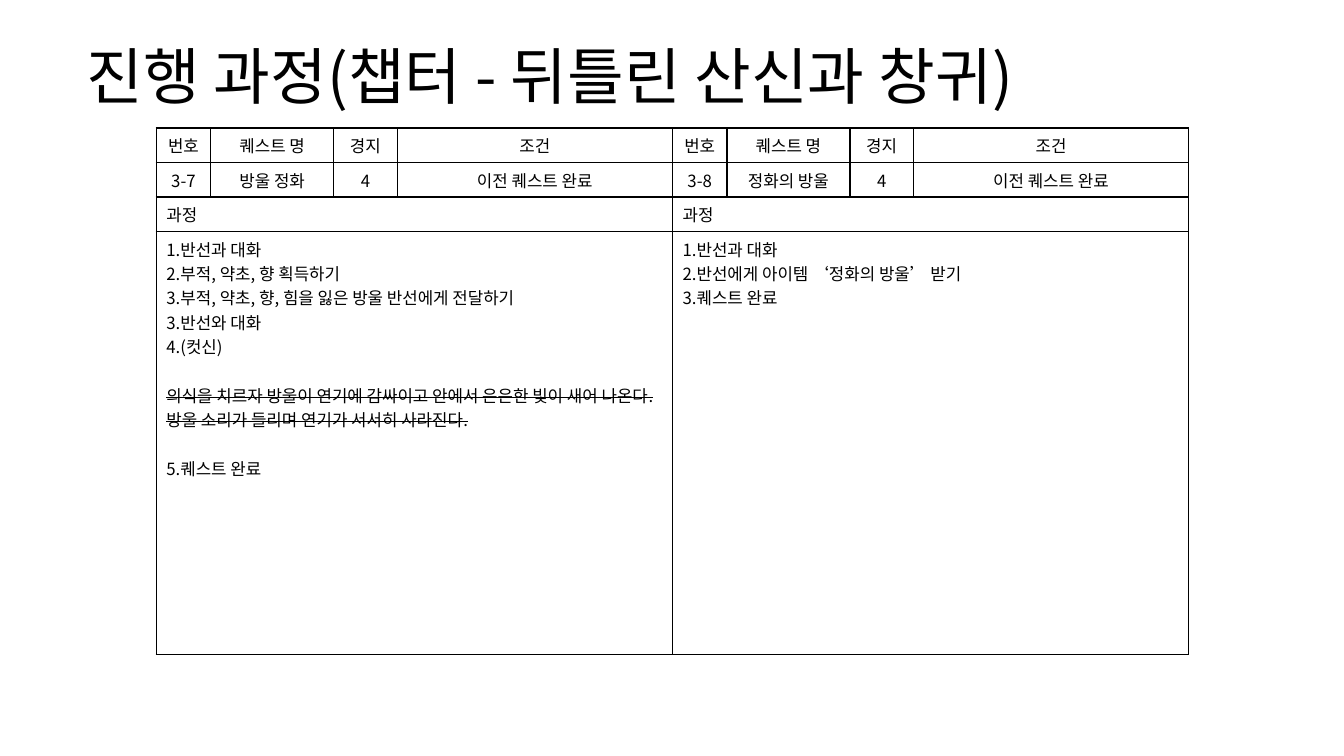
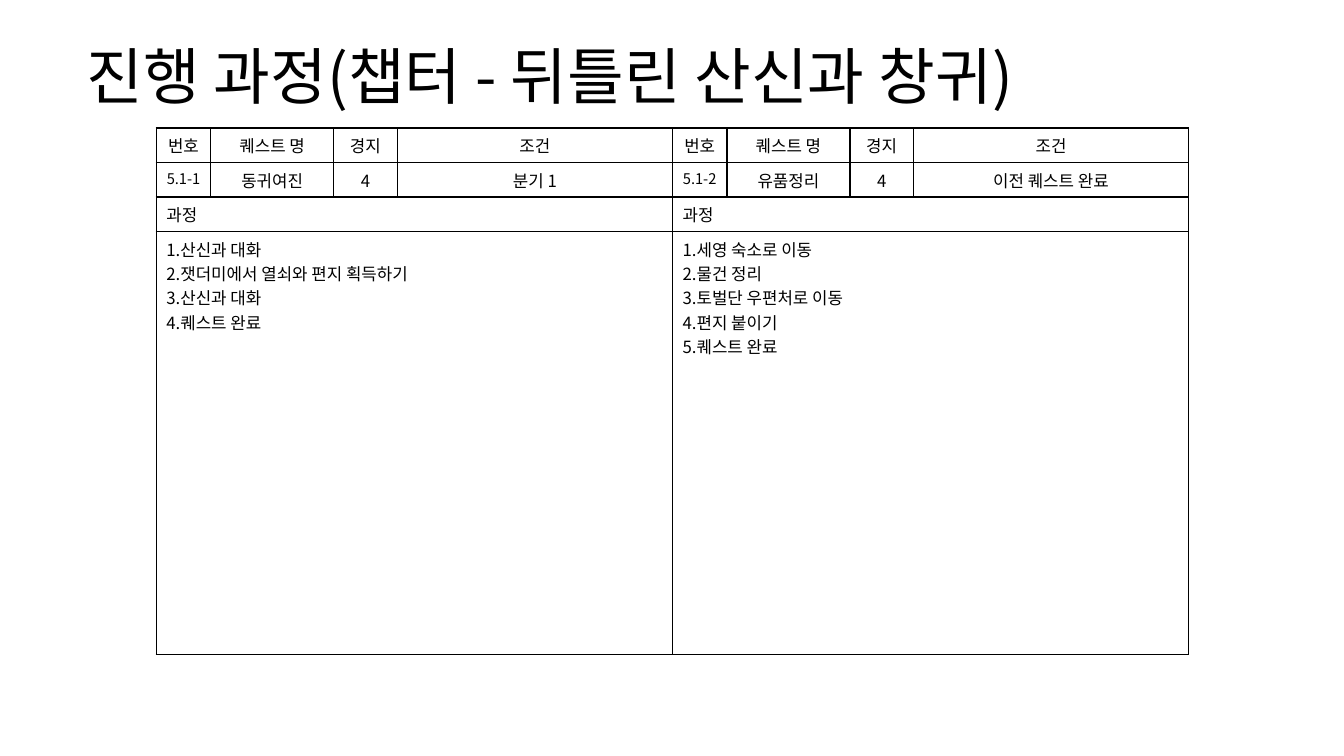
from lxml import etree
from pptx import Presentation
from pptx.dml.color import RGBColor
from pptx.enum.text import MSO_ANCHOR, MSO_AUTO_SIZE, PP_ALIGN
from pptx.oxml.ns import qn
from pptx.util import Inches, Pt

LEFT, CENTER = PP_ALIGN.LEFT, PP_ALIGN.CENTER
MIDDLE = MSO_ANCHOR.MIDDLE
NO_AUTOFIT = MSO_AUTO_SIZE.NONE

BLACK = RGBColor(0x00, 0x00, 0x00)
FONT = "Noto Sans CJK KR"
TITLE_SIZE, TEXT_SIZE, SMALL_SIZE = 44, 12, 10.5
BLANK_LINE = Pt(17.5)
BORDER_WIDTH = Pt(1)

TITLE_ONLY_LAYOUT = 5
TABLE_LEFT, TABLE_TOP = 1.55, 1.27
COLUMN_WIDTHS = (0.54, 1.22, 0.63, 2.73)
ROW_HEIGHTS = (0.34, 0.34, 0.34, 4.2)

TITLE = "진행 과정(챕터 - 뒤틀린 산신과 창귀)"
HEADINGS = ("번호", "퀘스트 명", "경지", "조건")
PROCESS_HEADING = "과정"
PREVIOUS_DONE = "이전 퀘스트 완료"
CUT_SCENE = (
    "의식을 치르자 방울이 연기에 감싸이고 안에서 은은한 빛이 새어 나온다. "
    "방울 소리가 들리며 연기가 서서히 사라진다."
)

# Each slide holds two quests: (summary row, steps)
QUEST_PAIRS = (
    (
        (
            ("3-7", "방울 정화", "4", PREVIOUS_DONE),
            (
                "1.반선과 대화",
                "2.부적, 약초, 향 획득하기",
                "3.부적, 약초, 향, 힘을 잃은 방울 반선에게 전달하기",
                "3.반선와 대화",
                "4.(컷신)",
                CUT_SCENE,
                "5.퀘스트 완료",
            ),
        ),
        (
            ("3-8", "정화의 방울", "4", PREVIOUS_DONE),
            (
                "1.반선과 대화",
                "2.반선에게 아이템 ‘정화의 방울’ 받기",
                "3.퀘스트 완료",
            ),
        ),
    ),
    (
        (
            ("5.1-1", "동귀여진", "4", "분기 1"),
            (
                "1.산신과 대화",
                "2.잿더미에서 열쇠와 편지 획득하기",
                "3.산신과 대화",
                "4.퀘스트 완료",
            ),
        ),
        (
            ("5.1-2", "유품정리", "4", PREVIOUS_DONE),
            (
                "1.세영 숙소로 이동",
                "2.물건 정리",
                "3.토벌단 우편처로 이동",
                "4.편지 붙이기",
                "5.퀘스트 완료",
            ),
        ),
    ),
)


def add_run(paragraph, text, size=TEXT_SIZE):
    run = paragraph.add_run()
    run.text = text
    run.font.name = FONT
    run.font.size = Pt(size)
    run.font.color.rgb = BLACK
    east_asian = etree.SubElement(run._r.get_or_add_rPr(), qn("a:ea"))
    east_asian.set("typeface", FONT)
    return run


def strike_out(run):
    run._r.get_or_add_rPr().set("strike", "sngStrike")


def set_title(slide):
    title = slide.shapes.title
    title.left, title.top = Inches(0.76), Inches(0.32)
    title.width, title.height = Inches(11.81), Inches(0.94)
    frame = title.text_frame
    frame.word_wrap = True
    frame.auto_size = NO_AUTOFIT
    frame.vertical_anchor = MIDDLE
    paragraph = frame.paragraphs[0]
    paragraph.alignment = LEFT
    paragraph.line_spacing = 0.9
    add_run(paragraph, TITLE, TITLE_SIZE)


def style_cell(cell):
    """Give the cell a black frame and no fill."""
    properties = cell._tc.get_or_add_tcPr()
    for side in ("a:lnL", "a:lnR", "a:lnT", "a:lnB"):
        line = etree.SubElement(properties, qn(side), w=str(BORDER_WIDTH))
        fill = etree.SubElement(line, qn("a:solidFill"))
        etree.SubElement(fill, qn("a:srgbClr"), val=str(BLACK))
    cell.fill.background()


def fill_cell(cell, text, alignment=LEFT, size=TEXT_SIZE):
    paragraph = cell.text_frame.paragraphs[0]
    paragraph.alignment = alignment
    add_run(paragraph, text, size)


def fill_steps(cell, steps):
    """Write one paragraph a step; the cut scene is struck out and set apart."""
    frame = cell.text_frame
    for index, step in enumerate(steps):
        paragraph = frame.add_paragraph() if index else frame.paragraphs[0]
        run = add_run(paragraph, step)
        if step == CUT_SCENE:
            paragraph.space_before = paragraph.space_after = BLANK_LINE
            strike_out(run)


def add_quest_table(slide, left, summary, steps):
    table = slide.shapes.add_table(
        len(ROW_HEIGHTS), len(COLUMN_WIDTHS), Inches(left), Inches(TABLE_TOP),
        Inches(sum(COLUMN_WIDTHS)), Inches(sum(ROW_HEIGHTS)),
    ).table
    table.first_row = table.horz_banding = False
    for column, width in zip(table.columns, COLUMN_WIDTHS):
        column.width = Inches(width)
    for row, height in zip(table.rows, ROW_HEIGHTS):
        row.height = Inches(height)
    for cell in table.iter_cells():
        style_cell(cell)

    for column, (heading, value) in enumerate(zip(HEADINGS, summary)):
        fill_cell(table.cell(0, column), heading, CENTER)
        long_number = column == 0 and len(value) > 3
        size = SMALL_SIZE if long_number else TEXT_SIZE
        fill_cell(table.cell(1, column), value, CENTER, size)

    last_column = len(COLUMN_WIDTHS) - 1
    for row in (2, 3):
        table.cell(row, 0).merge(table.cell(row, last_column))
    fill_cell(table.cell(2, 0), PROCESS_HEADING)
    fill_steps(table.cell(3, 0), steps)


def main():
    presentation = Presentation()
    presentation.slide_width = Inches(13.33)
    presentation.slide_height = Inches(7.5)
    layout = presentation.slide_layouts[TITLE_ONLY_LAYOUT]
    for quests in QUEST_PAIRS:
        slide = presentation.slides.add_slide(layout)
        set_title(slide)
        for index, (summary, steps) in enumerate(quests):
            left = TABLE_LEFT + index * sum(COLUMN_WIDTHS)
            add_quest_table(slide, left, summary, steps)
    presentation.save("out.pptx")


if __name__ == "__main__":
    main()
